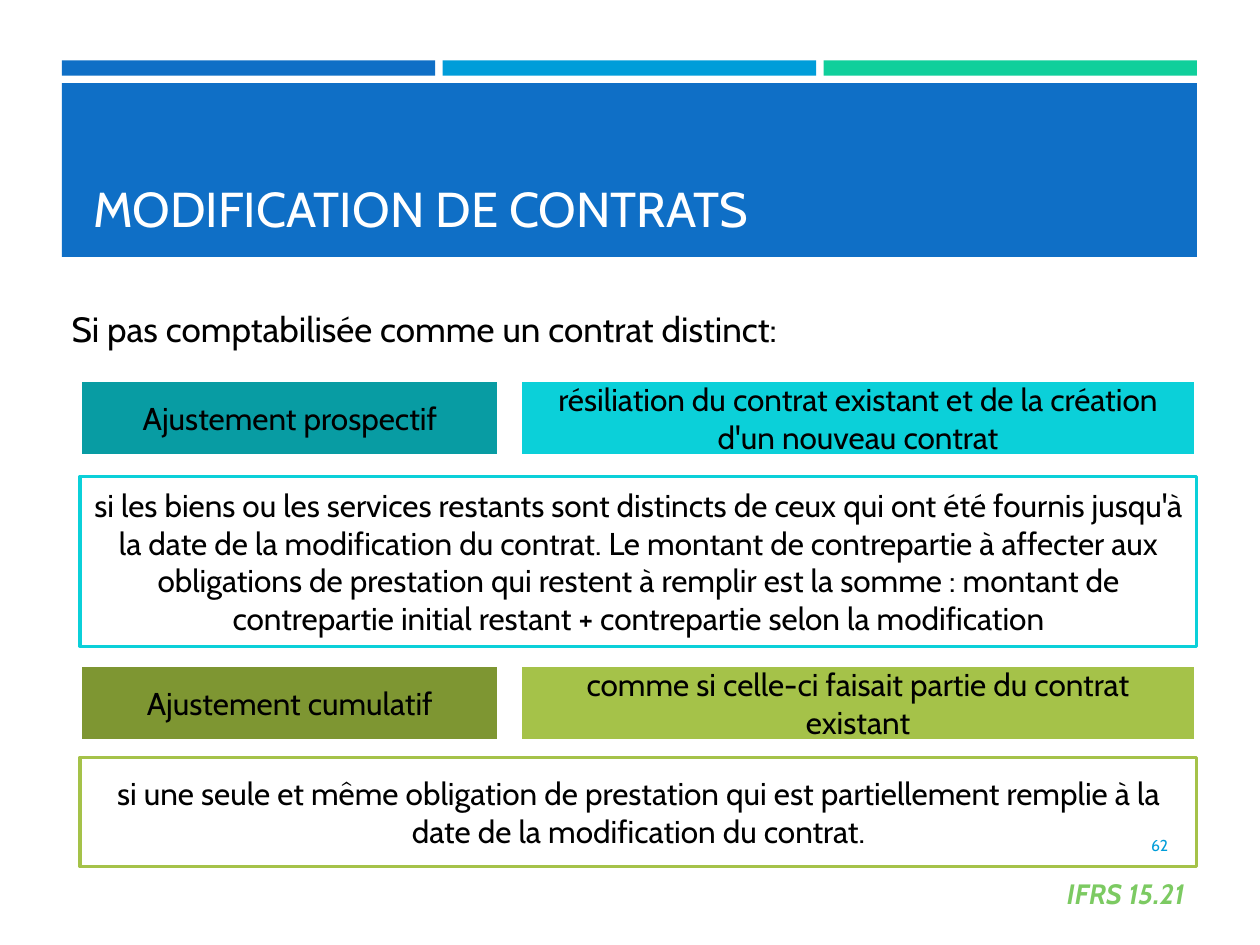
import pptx
import pptx.dml.color
import pptx.enum.shapes
import pptx.enum.text
import pptx.util

COLUMNS, ROWS = 100, 75
FONT = "Cabin"
COLORS = {
    "blue": "0F6FC6",
    "sky": "009DD9",
    "green": "10CF9B",
    "teal": "089CA3",
    "cyan": "0BD0D9",
    "olive": "7E9632",
    "lime": "A5C249",
    "leaf": "7CCA62",
    "white": "FFFFFF",
    "black": "000000",
}
ALIGN = pptx.enum.text.PP_ALIGN
ANCHOR = pptx.enum.text.MSO_ANCHOR


def color(name):
    return pptx.dml.color.RGBColor.from_string(COLORS[name])


def write(shape, text, size=18, ink="black", align=ALIGN.CENTER,
          anchor=ANCHOR.MIDDLE, bold=False, italic=False):
    frame = shape.text_frame
    frame.word_wrap = True
    frame.vertical_anchor = anchor
    para = frame.paragraphs[0]
    para.alignment = align
    span = para.add_run()
    span.text = text
    span.font.name = FONT
    span.font.size = pptx.util.Pt(size)
    span.font.bold = bold
    span.font.italic = italic
    span.font.color.rgb = color(ink)


class SlideBuilder:
    def __init__(self, deck):
        self.page = deck.slides.add_slide(deck.slide_layouts[6])
        self.column = deck.slide_width / COLUMNS
        self.row = deck.slide_height / ROWS

    def place(self, left, top, width, height):
        return (round(left * self.column), round(top * self.row),
                round(width * self.column), round(height * self.row))

    def bar(self, area, fill, line=None, weight=2):
        box = self.page.shapes.add_shape(
            pptx.enum.shapes.MSO_SHAPE.RECTANGLE, *self.place(*area))
        box.shadow.inherit = False
        box.fill.solid()
        box.fill.fore_color.rgb = color(fill)
        if line:
            box.line.color.rgb = color(line)
            box.line.width = pptx.util.Pt(weight)
        else:
            box.line.fill.background()
        return box

    def label(self, area, text, fill):
        write(self.bar(area, fill, line="white"), text)

    def panel(self, area, text, line):
        write(self.bar(area, "white", line=line, weight=1.75), text)

    def text(self, area, text, **style):
        write(self.page.shapes.add_textbox(*self.place(*area)), text, **style)


def main():
    deck = pptx.Presentation()
    deck.slide_width = pptx.util.Inches(10)
    deck.slide_height = pptx.util.Inches(7.5)
    slide = SlideBuilder(deck)

    left, width, gap = 4.9, 90.1, 0.6
    strip = (width - 2 * gap) / 3
    for index, fill in enumerate(("blue", "sky", "green")):
        slide.bar((left + index * (strip + gap), 4.8, strip, 1.2), fill)
    slide.bar((left, 6.6, width, 13.8), "blue")
    slide.text((6.4, 7.5, 87.4, 11.8), "MODIFICATION DE CONTRATS", size=28,
               ink="white", align=ALIGN.LEFT, anchor=ANCHOR.BOTTOM)
    slide.text((4.7, 23.6, 87.4, 4.9),
               "Si pas comptabilisée comme un contrat distinct:",
               size=20, align=ALIGN.LEFT)

    sections = (
        (30.2, "Ajustement prospectif", "teal",
         "résiliation du contrat existant et de la création "
         "d'un nouveau contrat", "cyan", 37.8, 13.5,
         "si les biens ou les services restants sont distincts de ceux qui "
         "ont été fournis jusqu'à la date de la modification du contrat. "
         "Le montant de contrepartie à affecter aux obligations de prestation "
         "qui restent à remplir est la somme : montant de contrepartie "
         "initial restant + contrepartie selon la modification"),
        (52.8, "Ajustement cumulatif", "olive",
         "comme si celle-ci faisait partie du contrat existant",
         "lime", 60.1, 8.7,
         "si une seule et même obligation de prestation qui est "
         "partiellement remplie à la date de la modification du contrat."),
    )
    for top, name, dark, meaning, bright, below, height, condition in sections:
        slide.label((6.4, top, 33.2, 6), name, dark)
        slide.label((41.3, top, 53.6, 6), meaning, bright)
        slide.panel((6.35, below, 88.65, height), condition, bright)

    slide.text((81, 68.8, 16.7, 4.2), "IFRS 15.21", size=16, ink="leaf",
               bold=True, italic=True)
    slide.text((85.3, 65.1, 8.4, 4), "62", size=9, ink="sky",
               align=ALIGN.RIGHT)
    deck.save("out.pptx")


if __name__ == "__main__":
    main()
